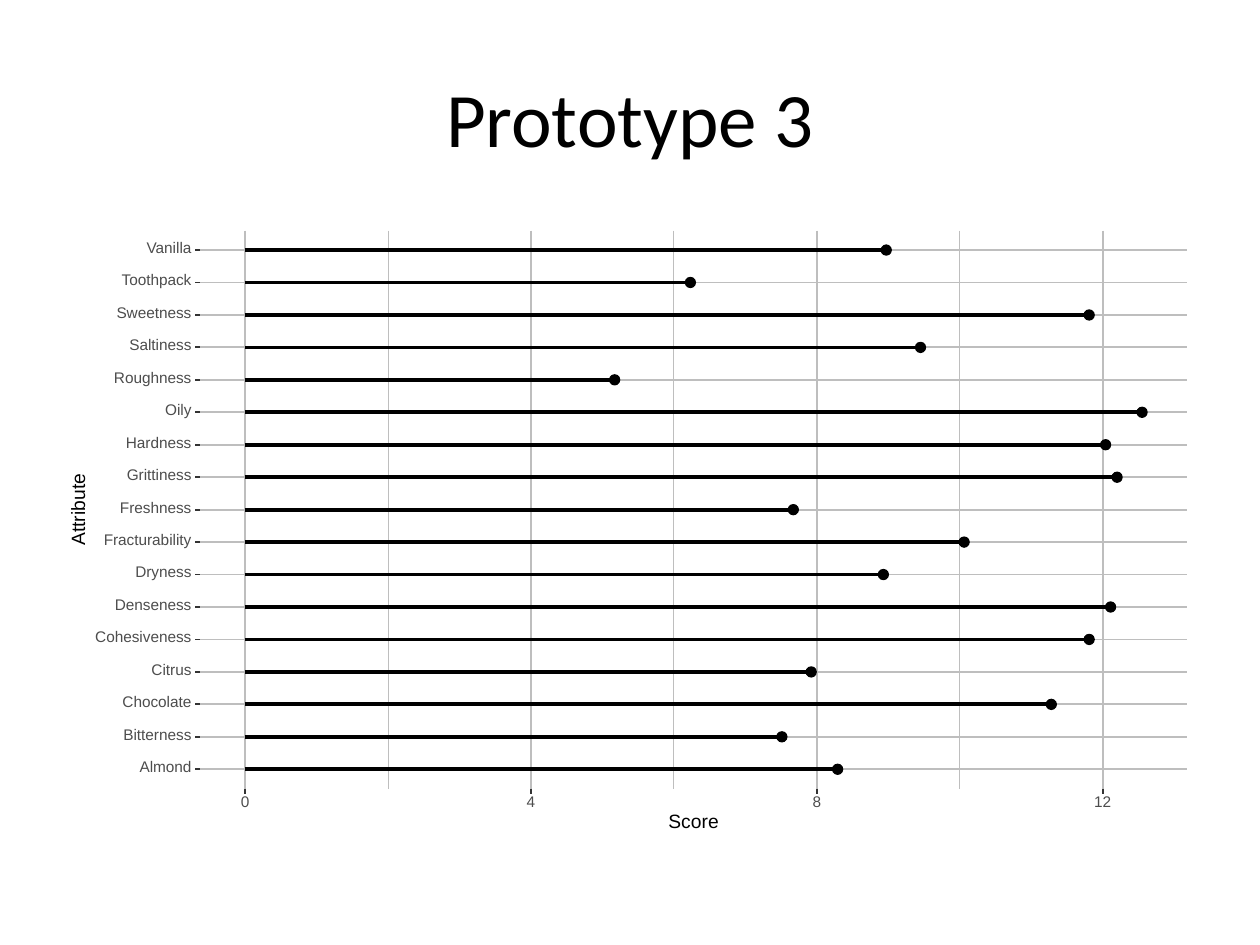
from lxml import etree
from pptx import Presentation
from pptx.dml.color import RGBColor
from pptx.enum.shapes import MSO_CONNECTOR, MSO_SHAPE
from pptx.enum.text import MSO_ANCHOR, PP_ALIGN
from pptx.oxml.ns import qn
from pptx.util import Inches, Pt

WHITE = RGBColor(0xFF, 0xFF, 0xFF)
BLACK = RGBColor(0x00, 0x00, 0x00)
GRID = RGBColor(0xBE, 0xBE, 0xBE)
TICK = RGBColor(0x33, 0x33, 0x33)
LABEL = RGBColor(0x4D, 0x4D, 0x4D)

SCORES = {
    "Vanilla": 8.97, "Toothpack": 6.23, "Sweetness": 11.81, "Saltiness": 9.45,
    "Roughness": 5.17, "Oily": 12.55, "Hardness": 12.04, "Grittiness": 12.2,
    "Freshness": 7.67, "Fracturability": 10.06, "Dryness": 8.93,
    "Denseness": 12.11, "Cohesiveness": 11.81, "Citrus": 7.92,
    "Chocolate": 11.28, "Bitterness": 7.51, "Almond": 8.29,
}
MAJOR, MINOR = (0, 4, 8, 12), (2, 6, 10)
TICK_LEN, DOT = 0.04, 0.08


def add_line(shapes, x1, y1, x2, y2, color, width):
    c = shapes.add_connector(MSO_CONNECTOR.STRAIGHT, Inches(x1), Inches(y1),
                             Inches(x2), Inches(y2))
    c.line.color.rgb = color
    c.line.width = Pt(width)
    etree.SubElement(c._element.spPr, qn("a:effectLst"))


def add_shape(shapes, kind, box, color, line_width):
    sp = shapes.add_shape(kind, *map(Inches, box))
    sp.shadow.inherit = False
    sp.fill.solid()
    sp.fill.fore_color.rgb = color
    sp.line.color.rgb = color
    sp.line.width = Pt(line_width)


def add_label(shapes, text, cx, cy, size, color, width=1, align=PP_ALIGN.CENTER):
    """Add one line of text in a box centred on (cx, cy)."""
    height = 0.12
    sp = shapes.add_textbox(Inches(cx - width / 2), Inches(cy - height / 2),
                            Inches(width), Inches(height))
    tf = sp.text_frame
    tf.word_wrap = True
    tf.vertical_anchor = MSO_ANCHOR.MIDDLE
    tf.margin_left = tf.margin_right = tf.margin_top = tf.margin_bottom = 0
    p = tf.paragraphs[0]
    p.text = text
    p.alignment = align
    p.line_spacing = Pt(size)
    p.font.name = "Arial"
    p.font.size = Pt(size)
    p.font.color.rgb = color
    return sp


def add_title(slide, text, left, top, width, height):
    sp = slide.shapes.add_textbox(Inches(left), Inches(top),
                                  Inches(width), Inches(height))
    tf = sp.text_frame
    tf.word_wrap = True
    tf.vertical_anchor = MSO_ANCHOR.MIDDLE
    p = tf.paragraphs[0]
    p.text = text
    p.alignment = PP_ALIGN.CENTER
    p.font.name = "Calibri"
    p.font.size = Pt(44)
    p.font.color.rgb = BLACK


def add_lollipop_plot(slide, left, top, width, height):
    """Draw the scores as stems and dots, grouped on a white ground."""
    shapes = slide.shapes.add_group_shape().shapes
    add_shape(shapes, MSO_SHAPE.RECTANGLE, (left, top, width, height), WHITE, 0.75)

    x0, x1 = left + 1.09, left + width - 0.08
    y0, y1 = top + 0.08, top + height - 0.44
    # The score axis has 5% of its range free at each end, the rows 0.6 of a step.
    unit = (x1 - x0) / 1.1 / max(SCORES.values())
    zero = x0 + 0.05 * (x1 - x0) / 1.1
    step = (y1 - y0) / (len(SCORES) + 0.2)
    rows = [(name, zero + score * unit, y0 + (i + 0.6) * step)
            for i, (name, score) in enumerate(SCORES.items())]
    major = [(value, zero + value * unit) for value in MAJOR]

    for value in MINOR:
        x = zero + value * unit
        add_line(shapes, x, y0, x, y1, GRID, 0.53)
    for _, _, y in rows:
        add_line(shapes, x0, y, x1, y, GRID, 1.07)
    for _, x in major:
        add_line(shapes, x, y0, x, y1, GRID, 1.07)

    for name, x, y in rows:
        add_shape(shapes, MSO_SHAPE.OVAL, (x - DOT / 2, y - DOT / 2, DOT, DOT),
                  BLACK, 0.71)
        add_line(shapes, zero, y, x, y, BLACK, 2.13)
        add_line(shapes, x0 - TICK_LEN, y, x0, y, TICK, 1.07)
        add_label(shapes, name, x0 - 0.57, y - 0.01, 8.8, LABEL,
                  align=PP_ALIGN.RIGHT)
    for value, x in major:
        add_line(shapes, x, y1, x, y1 + TICK_LEN, TICK, 1.07)
        add_label(shapes, str(value), x, y1 + 0.11, 8.8, LABEL, width=0.3)

    add_label(shapes, "Score", (x0 + x1) / 2, y1 + 0.27, 11, BLACK)
    sp = add_label(shapes, "Attribute", left + 0.13, (y0 + y1) / 2, 11, BLACK)
    sp.rotation = 270


def main():
    prs = Presentation()
    prs.slide_width, prs.slide_height = Inches(10), Inches(7.5)
    slide = prs.slides.add_slide(prs.slide_layouts[6])
    add_lollipop_plot(slide, 0.5, 1.75, 9, 4.95)
    add_title(slide, "Prototype 3", 0.5, 0.3, 9, 1.25)
    prs.save("out.pptx")


if __name__ == "__main__":
    main()
